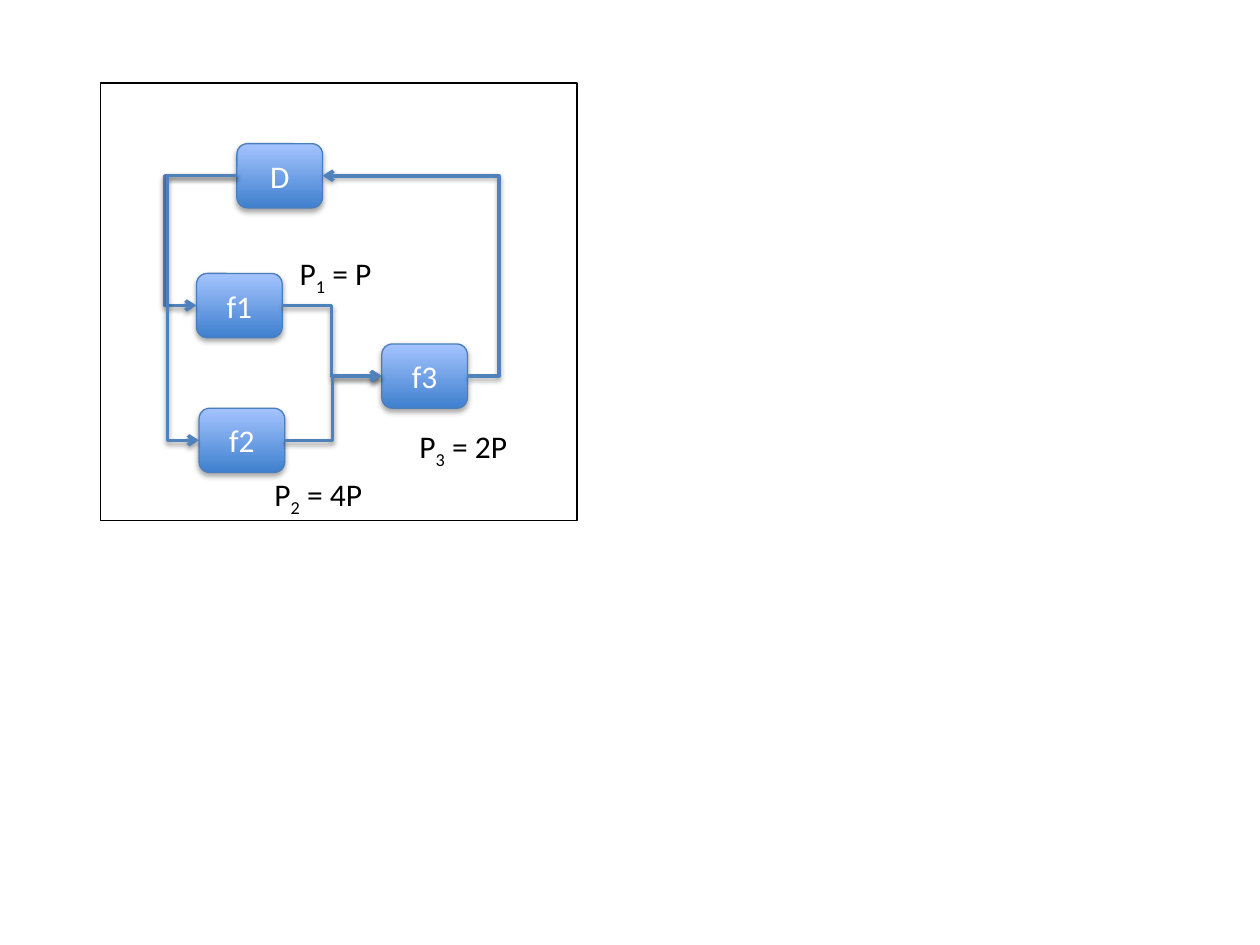
"""Build a slide with a feedback block diagram of D, f1, f2 and f3."""
from lxml import etree
from pptx import Presentation
from pptx.dml.color import RGBColor
from pptx.enum.shapes import MSO_CONNECTOR, MSO_SHAPE
from pptx.enum.text import MSO_ANCHOR, MSO_AUTO_SIZE, PP_ALIGN
from pptx.oxml.ns import qn
from pptx.util import Inches, Pt

ELBOW = MSO_CONNECTOR.ELBOW
RECTANGLE, ROUNDED = MSO_SHAPE.RECTANGLE, MSO_SHAPE.ROUNDED_RECTANGLE
MIDDLE, CENTER = MSO_ANCHOR.MIDDLE, PP_ALIGN.CENTER
GROW = MSO_AUTO_SIZE.SHAPE_TO_FIT_TEXT
LEFT_SIDE, RIGHT_SIDE = 1, 3

THEME = {
    "font": "Calibri",
    "size": Pt(18),
    "ink": RGBColor.from_string("000000"),
    "block_text": RGBColor.from_string("FFFFFF"),
    "block_line": RGBColor.from_string("4B7EBC"),
    "block_stops": [RGBColor.from_string("3F80CE"), RGBColor.from_string("A4C4FF")],
    "wire": RGBColor.from_string("4F81BD"),
    "thin": Pt(0.75),
    "thick": Pt(2),
}

deck = Presentation()
deck.slide_width, deck.slide_height = Inches(10), Inches(7.5)
COLUMN, ROW = deck.slide_width / 100, deck.slide_height / 75
page = deck.slides.add_slide(deck.slide_layouts[6])


def grid(left, top, width, height):
    return [round(value * step) for value, step in
            zip((left, top, width, height), (COLUMN, ROW, COLUMN, ROW))]


def add_shadow(shape, distance, opacity):
    properties = shape._element.spPr
    for effects in properties.findall(qn("a:effectLst")):
        properties.remove(effects)
    effects = etree.SubElement(properties, qn("a:effectLst"))
    shadow = etree.SubElement(effects, qn("a:outerShdw"), {
        "blurRad": str(Pt(3.1)), "dist": str(Pt(distance)),
        "dir": "5400000", "rotWithShape": "0"})
    color = etree.SubElement(shadow, qn("a:srgbClr"), val=str(THEME["ink"]))
    etree.SubElement(color, qn("a:alpha"), val=str(opacity * 1000))


blocks = {}
for name, left, top in [("D", 18.8, 11.4), ("f1", 15.6, 21.7),
                        ("f3", 30.3, 27.3), ("f2", 15.8, 32.4)]:
    block = page.shapes.add_shape(ROUNDED, *grid(left, top, 6.8, 5.1))
    block.fill.gradient()
    block.fill.gradient_angle = 90
    for stop, color, position in zip(block.fill.gradient_stops, THEME["block_stops"], (0, 1)):
        stop.color.rgb = color
        stop.position = position
    block.line.color.rgb = THEME["block_line"]
    block.line.width = THEME["thin"]
    add_shadow(block, 1.8, 35)
    block.text_frame.vertical_anchor = MIDDLE
    para = block.text_frame.paragraphs[0]
    para.alignment = CENTER
    span = para.add_run()
    span.text = name
    for key, value in {"name": THEME["font"], "size": THEME["size"]}.items():
        setattr(span.font, key, value)
    span.font.color.rgb = THEME["block_text"]
    blocks[name] = block

frame = page.shapes.add_shape(RECTANGLE, *grid(8, 6.6, 37.8, 34.7))
frame.shadow.inherit = False
frame.fill.background()
frame.line.color.rgb = THEME["ink"]
frame.line.width = THEME["thin"]

for source, source_side, target, target_side, lane in [
        ("f1", RIGHT_SIDE, "f3", LEFT_SIDE, 26.3),
        ("f2", RIGHT_SIDE, "f3", LEFT_SIDE, 26.4),
        ("D", LEFT_SIDE, "f1", LEFT_SIDE, 13.1),
        ("D", LEFT_SIDE, "f2", LEFT_SIDE, 13.3),
        ("f3", RIGHT_SIDE, "D", RIGHT_SIDE, 39.6)]:
    wire = page.shapes.add_connector(ELBOW, 0, 0, 0, 0)
    wire.begin_connect(blocks[source], source_side)
    wire.end_connect(blocks[target], target_side)
    bend = (lane * COLUMN - wire.begin_x) / (wire.end_x - wire.begin_x)
    guides = wire._element.spPr.find(qn("a:prstGeom")).find(qn("a:avLst"))
    etree.SubElement(guides, qn("a:gd"), name="adj1", fmla=f"val {round(bend * 100000)}")
    wire.line.color.rgb = THEME["wire"]
    wire.line.width = THEME["thick"]
    etree.SubElement(wire.line._get_or_add_ln(), qn("a:tailEnd"), type="arrow")
    add_shadow(wire, 1.6, 38)

for index, value, left, top in [("1", "P", 22.8, 19.7), ("2", "4P", 20.8, 37.2),
                                ("3", "2P", 32.3, 33.4)]:
    box = page.shapes.add_textbox(*grid(left, top, 9.5, 4))
    box.text_frame.word_wrap = True
    box.text_frame.auto_size = GROW
    para = box.text_frame.paragraphs[0]
    for text, baseline in [("P", 0), (index, -25000), (f" = {value}", 0)]:
        span = para.add_run()
        span.text = text
        for key, setting in {"name": THEME["font"], "size": THEME["size"]}.items():
            setattr(span.font, key, setting)
        span.font.color.rgb = THEME["ink"]
        if baseline:
            span.font._element.set("baseline", str(baseline))

deck.save("out.pptx")
